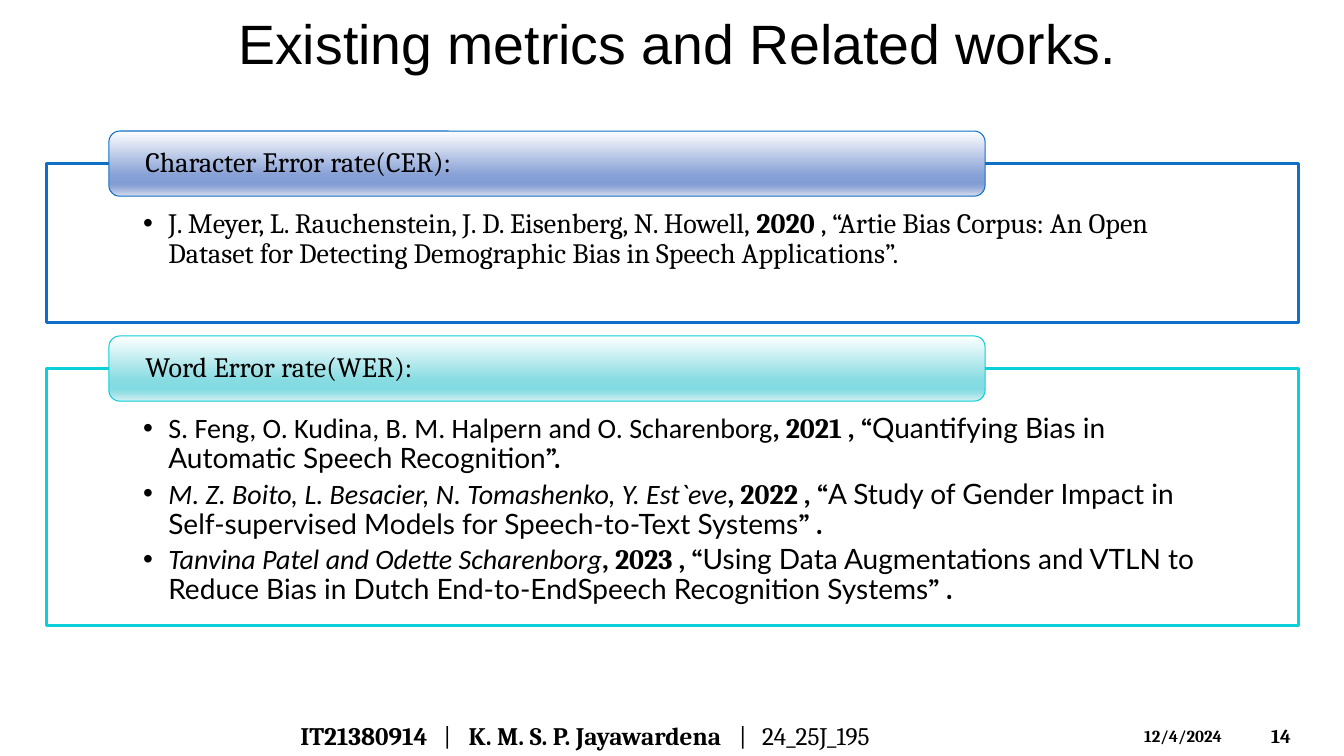
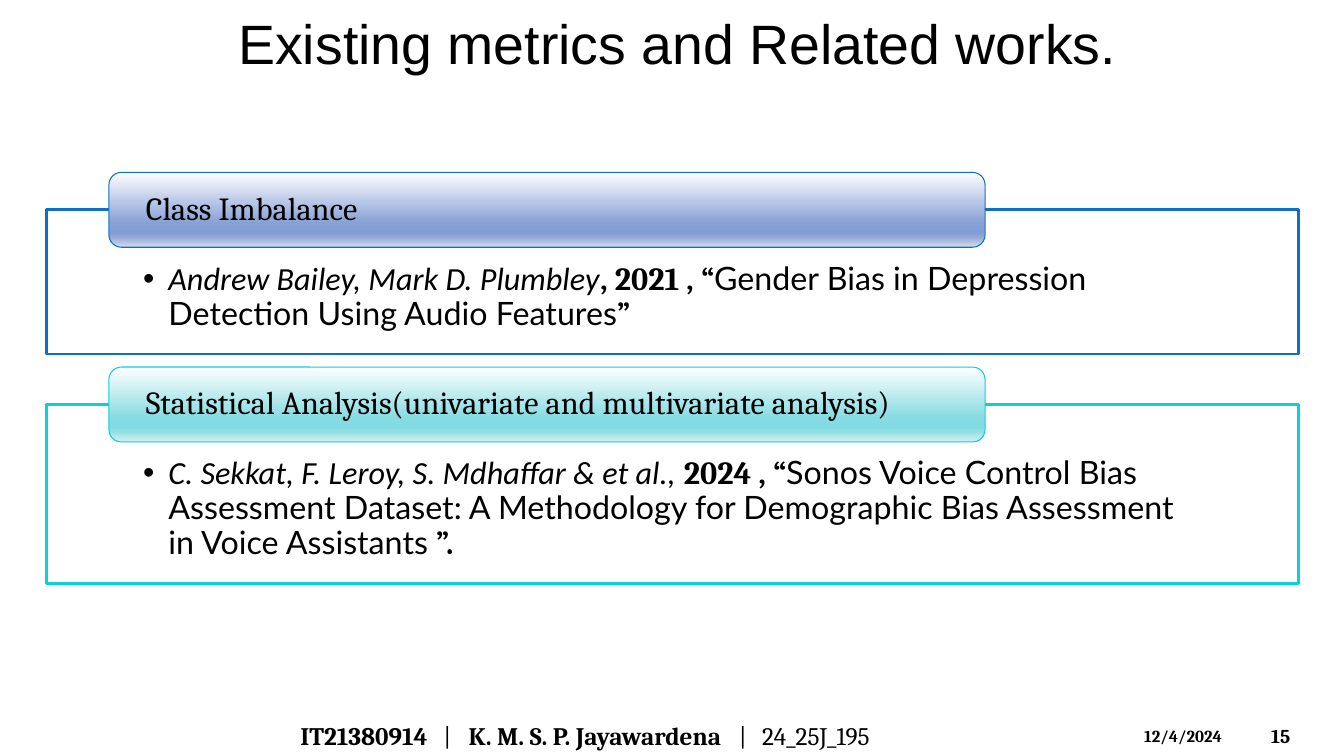
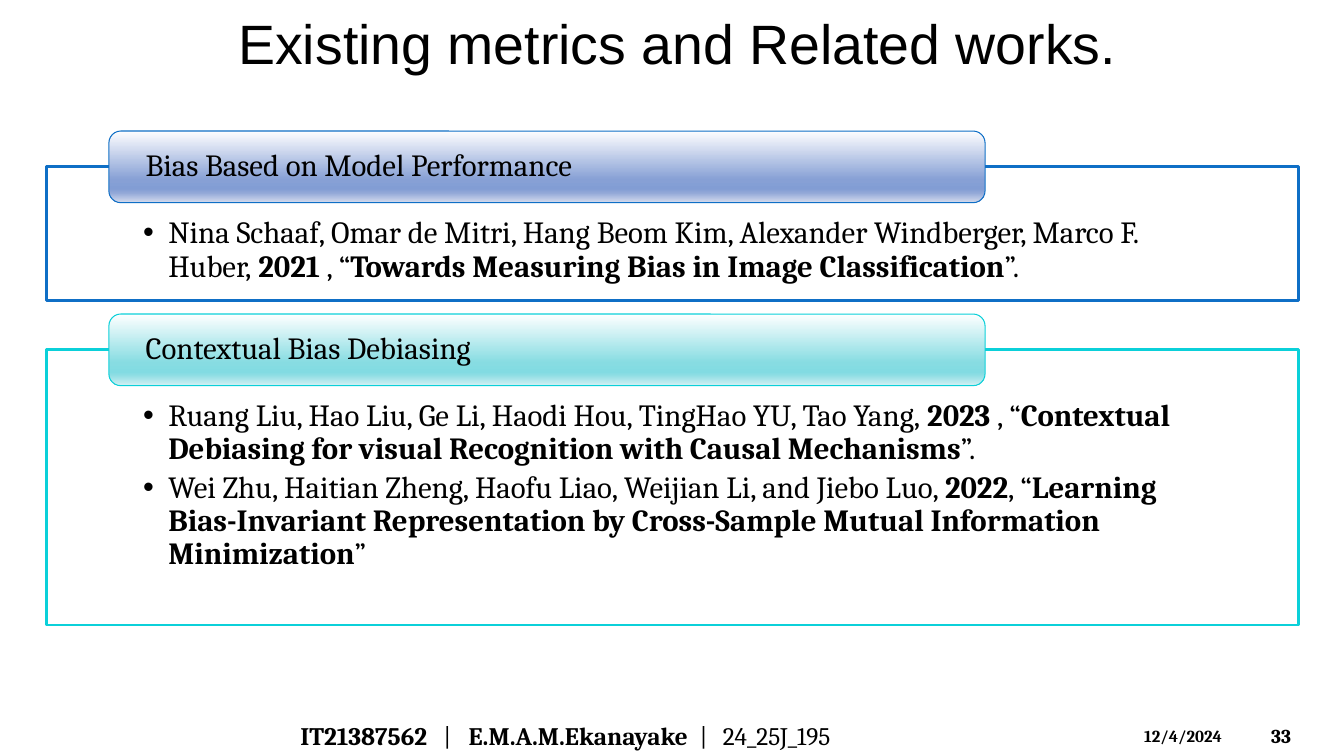
from lxml import etree
from pptx import Presentation
from pptx.dml.color import RGBColor
from pptx.enum.shapes import MSO_SHAPE
from pptx.enum.text import MSO_ANCHOR, MSO_AUTO_SIZE, PP_ALIGN
from pptx.oxml.ns import qn
from pptx.util import Inches, Pt

ROUNDED = MSO_SHAPE.ROUNDED_RECTANGLE
TOP, MIDDLE = MSO_ANCHOR.TOP, MSO_ANCHOR.MIDDLE
NO_FIT = MSO_AUTO_SIZE.NONE
LEFT, CENTER = PP_ALIGN.LEFT, PP_ALIGN.CENTER

BLACK = RGBColor(0x00, 0x00, 0x00)
WHITE = RGBColor(0xFF, 0xFF, 0xFF)
BLUE = RGBColor(0x0F, 0x6F, 0xC6)
TURQUOISE = RGBColor(0x0B, 0xD0, 0xD9)
STOPS = (0, 68, 81, 86, 100)
BLUE_SHADES = ("FEFEFF", "87A0D5", "829DD4", "91A7D7", "D4DBED")
TURQUOISE_SHADES = ("FEFFFF", "87DCE2", "82DBE2", "90DEE4", "D3F0F3")
THEMES = ((BLUE, BLUE_SHADES), (TURQUOISE, TURQUOISE_SHADES))

PLAIN = {}
BOLD = {"bold": True}
NAMES = {"font": "Calibri"}
ITALIC = {"font": "Calibri", "italic": True}
PAPER = {"font": "Lato"}

TITLE = "Existing metrics and Related works."
DATE = "12/4/2024"
PROJECT = "24_25J_195"
JAYAWARDENA = ("IT21380914", "K. M. S. P. Jayawardena", 4.35)
EKANAYAKE = ("IT21387562", "E.M.A.M.Ekanayake", 3.96)
PANEL_GAP = 0.13


def add_run(p, text, size=20, font="Cambria", bold=False, italic=False):
    """Append a formatted run to a paragraph."""
    r = p.add_run()
    r.text = text
    f = r.font
    f.name, f.size, f.bold, f.italic = font, Pt(size), bold, italic
    f.color.rgb = BLACK


def place(sp, left, top, width, height):
    """Move and size a shape, in inches."""
    sp.left, sp.top = Inches(left), Inches(top)
    sp.width, sp.height = Inches(width), Inches(height)


def set_frame(sp, anchor, insets):
    """Set the wrapping, anchor and insets of a text frame and return it."""
    tf = sp.text_frame
    tf.word_wrap, tf.auto_size, tf.vertical_anchor = True, NO_FIT, anchor
    (tf.margin_left, tf.margin_top,
     tf.margin_right, tf.margin_bottom) = map(Inches, insets)
    return tf


class Deck:
    """Holds the presentation, its style and the current slide."""

    def __init__(self):
        """Start an empty widescreen presentation."""
        self.prs = Presentation()
        self.prs.slide_width, self.prs.slide_height = Inches(13.33), Inches(7.5)

    def add_slide(self, number, author):
        """Add a slide with its title and footer."""
        self.s = self.prs.slides.add_slide(self.prs.slide_layouts[3])
        title = self.s.shapes.title
        place(title, 0.33, 0.09, 12.78, 0.65)
        p = set_frame(title, MIDDLE, (0.1, 0, 0.1, 0)).paragraphs[0]
        p.alignment = CENTER
        add_run(p, TITLE, size=39.6, font="Arial")
        self.add_footer(number, *author)

    def add_text(self, box, anchor, runs, size, tabs=()):
        """Add a one-line text box, with optional tab stops."""
        sp = self.s.shapes.add_textbox(*map(Inches, box))
        p = set_frame(sp, anchor, (0.1, 0.05, 0.1, 0.05)).paragraphs[0]
        if tabs:
            stops = etree.SubElement(p._p.get_or_add_pPr(), qn("a:tabLst"))
            for pos in tabs:
                etree.SubElement(stops, qn("a:tab"), pos=str(Inches(pos)), algn="l")
        for text, style in runs:
            add_run(p, text, size=size, **style)

    def add_footer(self, number, student_id, name, bar):
        """Add the student line, the date and the slide number."""
        self.add_text((12.51, 7.1, 0.74, 0.4), MIDDLE, [(str(number), BOLD)], 14)
        self.add_text((11.25, 7.15, 1.17, 0.3), TOP, [(DATE, BOLD)], 12)
        runs = [(student_id, BOLD), ("\t|\t", PLAIN), (name, BOLD),
                (f"\t|\t{PROJECT}", PLAIN)]
        self.add_text((2.88, 7.1, 7.45, 0.4), MIDDLE, runs, 18,
                      tabs=(1.42, 1.67, bar, bar + 0.23))

    def add_panel(self, sp, top, height, size, color, items):
        """Turn a body placeholder into an outlined list of references."""
        place(sp, 0.46, top, 12.42, height)
        sp.fill.solid()
        sp.fill.fore_color.rgb = WHITE
        sp.line.color.rgb, sp.line.width = color, Pt(2)
        tf = set_frame(sp, TOP, (0.96, size * 0.0227, 0.96, size * 0.008))
        for i, runs in enumerate(items):
            p = tf.add_paragraph() if i else tf.paragraphs[0]
            pPr = p._p.get_or_add_pPr()
            pPr.set("marL", str(Inches(0.25)))
            pPr.set("indent", str(Inches(-0.25)))
            etree.SubElement(pPr, qn("a:buChar"), char="•")
            p.alignment, p.line_spacing = LEFT, 0.9
            p.space_before, p.space_after = Pt(0), Pt(3.6)
            for text, style in runs:
                add_run(p, text, size=size, **style)

    def add_tab(self, top, height, size, color, shades, text):
        """Add the rounded gradient heading of a panel."""
        box = map(Inches, (1.08, top, 8.69, height))
        sp = self.s.shapes.add_shape(ROUNDED, *box)
        sp.shadow.inherit = False
        sp.line.color.rgb, sp.line.width = color, Pt(0.75)
        sp.fill.gradient()
        sp.fill.gradient_angle = 270
        stops = next(sp.element.iter(qn("a:gsLst")))
        for gs in list(stops):
            stops.remove(gs)
        for pos, shade in zip(STOPS, shades):
            gs = etree.SubElement(stops, qn("a:gs"), pos=str(pos * 1000))
            etree.SubElement(gs, qn("a:srgbClr"), val=shade)
        p = set_frame(sp, MIDDLE, (0.33, 0, 0.33, 0)).paragraphs[0]
        p.alignment, p.line_spacing = LEFT, 0.9
        add_run(p, text, size=size)

    def add_panels(self, top, size, panels):
        """Stack the headed panels downwards from the top."""
        tab = size * 0.0323
        bodies = list(self.s.placeholders)[1:]
        for sp, (color, shades), (heading, height, items) in zip(bodies, THEMES, panels):
            self.add_panel(sp, top + tab / 2, height, size, color, items)
            self.add_tab(top, tab, size, color, shades, heading)
            top += tab / 2 + height + PANEL_GAP


SLIDES = [
    (14, JAYAWARDENA, 1.3, 20, [
        ("Character Error rate(CER):", 1.58, [
            [("J. Meyer, L. Rauchenstein, J. D. Eisenberg, N. Howell,", PLAIN),
             (" 2020 ", BOLD),
             (", “Artie Bias Corpus: An Open Dataset for Detecting Demographic "
              "Bias in Speech Applications”.", PLAIN)],
        ]),
        ("Word Error rate(WER):", 2.55, [
            [("S. Feng, O. Kudina, B. M. Halpern and O. Scharenborg", NAMES),
             (", 2021 , “", BOLD),
             ("Quantifying Bias in Automatic Speech Recognition", PAPER),
             ("”.", BOLD)],
            [("M. Z. Boito, L. Besacier, N. Tomashenko, Y. Est`eve", ITALIC),
             (", 2022 , “", BOLD),
             ("A Study of Gender Impact in Self-supervised Models for "
              "Speech-to-Text Systems", PAPER),
             ("” .", BOLD)],
            [("Tanvina Patel and Odette Scharenborg", ITALIC),
             (", 2023 , “", BOLD),
             ("Using Data Augmentations and VTLN to Reduce Bias in Dutch "
              "End-to-EndSpeech Recognition Systems", PAPER),
             ("” .", BOLD)],
        ]),
    ]),
    (15, JAYAWARDENA, 1.71, 23, [
        ("Class Imbalance", 1.43, [
            [("Andrew Bailey, Mark D. Plumbley", ITALIC),
             (", 2021 , “", BOLD),
             ("Gender Bias in Depression Detection Using Audio Features", PAPER),
             ("”", BOLD)],
        ]),
        ("Statistical Analysis(univariate and multivariate analysis)", 1.78, [
            [("C. Sekkat, F. Leroy, S. Mdhaffar & et al.,", ITALIC),
             (" 2024 , “", BOLD),
             ("Sonos Voice Control Bias Assessment Dataset: A Methodology for "
              "Demographic Bias Assessment in Voice Assistants ", PAPER),
             ("”.", BOLD)],
        ]),
    ]),
    (33, EKANAYAKE, 1.3, 22, [
        ("Bias Based on Model Performance", 1.33, [
            [("Nina Schaaf, Omar de Mitri, Hang Beom Kim, Alexander Windberger, "
              "Marco F. Huber,", PLAIN),
             (" 2021 ", BOLD), (", “", PLAIN),
             ("Towards Measuring Bias in Image Classification", BOLD),
             ("”.", PLAIN)],
        ]),
        ("Contextual Bias Debiasing", 2.73, [
            [("Ruang Liu, Hao Liu, Ge Li, Haodi Hou, TingHao YU, Tao Yang,", PLAIN),
             (" 2023 ", BOLD), (", “", PLAIN),
             ("Contextual Debiasing for visual Recognition with Causal "
              "Mechanisms", BOLD),
             ("”.", PLAIN)],
            [("Wei Zhu, Haitian Zheng, Haofu Liao, Weijian Li, and Jiebo Luo, ", PLAIN),
             ("2022", BOLD), (", “", PLAIN),
             ("Learning Bias-Invariant Representation by Cross-Sample Mutual "
              "Information Minimization", BOLD),
             ("”", PLAIN)],
        ]),
    ]),
]


def main():
    """Build the slides and save them."""
    deck = Deck()
    for number, author, top, size, panels in SLIDES:
        deck.add_slide(number, author)
        deck.add_panels(top, size, panels)
    deck.prs.save("out.pptx")


if __name__ == "__main__":
    main()
